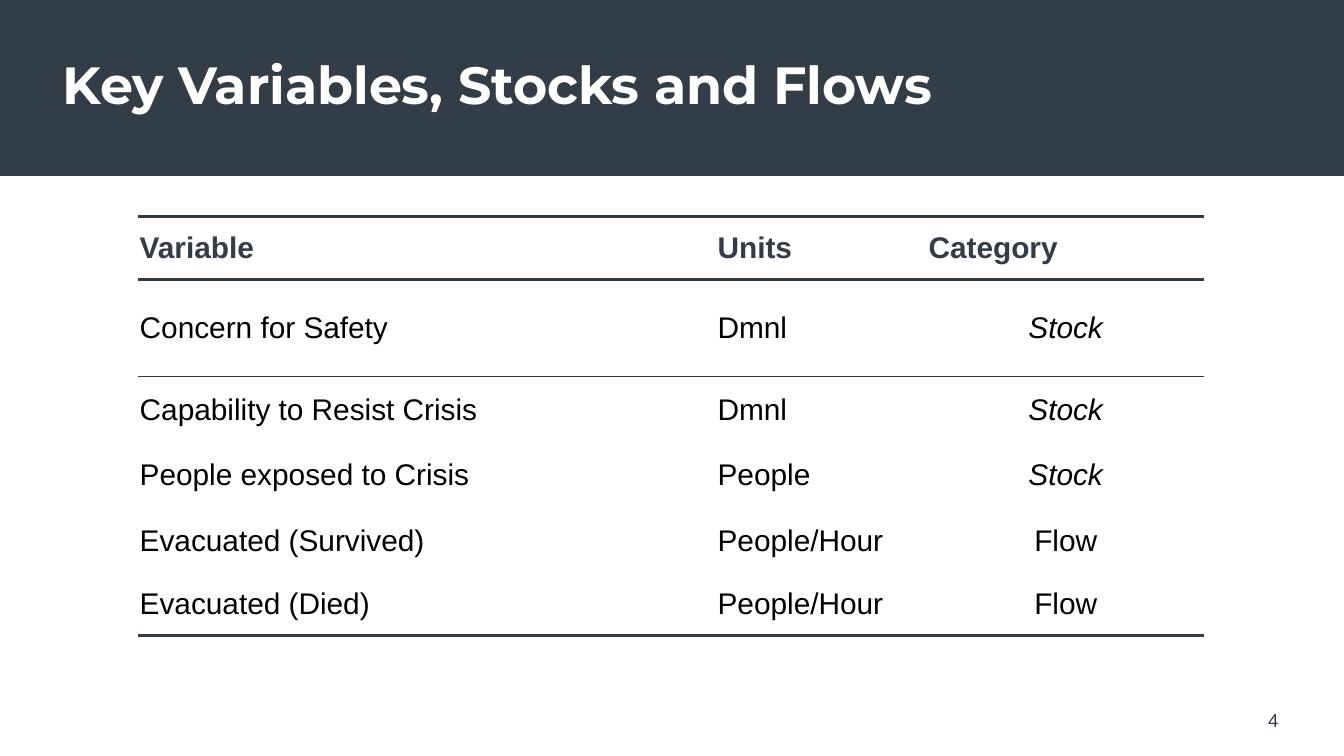
from dataclasses import dataclass

from lxml import etree
from pptx import Presentation
from pptx.dml.color import RGBColor
from pptx.enum.shapes import MSO_SHAPE
from pptx.enum.text import MSO_ANCHOR, PP_ALIGN
from pptx.oxml.ns import qn
from pptx.util import Inches, Pt

RECTANGLE = MSO_SHAPE.RECTANGLE
MIDDLE = MSO_ANCHOR.MIDDLE
LEFT, CENTER, RIGHT = PP_ALIGN.LEFT, PP_ALIGN.CENTER, PP_ALIGN.RIGHT

BAND = RGBColor(0x33, 0x3D, 0x47)
SLATE = RGBColor(0x33, 0x3C, 0x47)
WHITE = RGBColor(0xFF, 0xFF, 0xFF)
BLACK = RGBColor(0x00, 0x00, 0x00)

SLIDE_WIDTH = 10
SLIDE_HEIGHT = SLIDE_WIDTH * 9 / 16
TABLE_LEFT, TABLE_TOP = 1.03, 1.61
COLUMN_WIDTHS = [4.3, 1.57, 2.06]
ROW_HEIGHTS = [0.47, 0.72, 0.49, 0.49, 0.48, 0.47]

TITLE_FORMAT = {"name": "Montserrat", "size": Pt(28), "bold": True}
NUMBER_FORMAT = {"name": "Arial", "size": Pt(10), "bold": False}
CELL_FORMAT = {"name": "Arial", "size": Pt(16)}


@dataclass
class Variable:
    name: str
    units: str
    category: str


@dataclass
class Label:
    text: str
    left: float
    top: float
    width: float
    height: float
    align: PP_ALIGN
    color: RGBColor
    format: dict
    line_spacing: float = 1.0


HEADER = Variable("Variable", "Units", "Category")
VARIABLES = [
    Variable("Concern for Safety", "Dmnl", "Stock"),
    Variable("Capability to Resist Crisis", "Dmnl", "Stock"),
    Variable("People exposed to Crisis", "People", "Stock"),
    Variable("Evacuated (Survived)", "People/Hour", "Flow"),
    Variable("Evacuated (Died)", "People/Hour", "Flow"),
]
# Rule widths in points, by row and by cell edge; other edges stay empty
EDGES = ("lnL", "lnR", "lnT", "lnB")
RULES = {
    0: {"lnT": 2.25, "lnB": 1.25},
    1: {"lnT": 1.25, "lnB": 0.5},
    2: {"lnT": 0.5},
    len(VARIABLES): {"lnB": 2},
}
LABELS = [
    Label("Key Variables, Stocks and Flows", 0.37, 0, 9.26, 1.3,
          LEFT, WHITE, TITLE_FORMAT, 0.9),
    Label("4", 7.06, 5.21, 2.55, 0.3, RIGHT, SLATE, NUMBER_FORMAT),
]


def write(para, text: str, align: PP_ALIGN, color: RGBColor, values: dict) -> None:
    para.alignment = align
    span = para.add_run()
    span.text = text
    span.font.color.rgb = color
    for attribute, value in values.items():
        setattr(span.font, attribute, value)


def add_label(page, label: Label) -> None:
    box = page.shapes.add_textbox(Inches(label.left), Inches(label.top),
                                  Inches(label.width), Inches(label.height))
    frame = box.text_frame
    frame.word_wrap = True
    frame.vertical_anchor = MIDDLE
    para = frame.paragraphs[0]
    para.line_spacing = label.line_spacing
    write(para, label.text, label.align, label.color, label.format)


def add_rules(cell, rules: dict) -> None:
    properties = cell._tc.get_or_add_tcPr()
    for position, edge in enumerate(EDGES):
        line = etree.Element(qn(f"a:{edge}"))
        if edge in rules:
            line.set("w", str(int(Pt(rules[edge]))))
            fill = etree.SubElement(line, qn("a:solidFill"))
            etree.SubElement(fill, qn("a:srgbClr"), val=str(SLATE))
        else:
            etree.SubElement(line, qn("a:noFill"))
        properties.insert(position, line)


def fill_cell(cell, text: str, row: int, is_category: bool) -> None:
    is_header = row == 0
    cell.fill.solid()
    cell.fill.fore_color.rgb = WHITE
    cell.vertical_anchor = MIDDLE
    cell.margin_left = cell.margin_right = cell.margin_top = Inches(0.01)
    cell.margin_bottom = 0
    align = CENTER if is_category and not is_header else LEFT
    color = SLATE if is_header else BLACK
    values = CELL_FORMAT | {"bold": is_header, "italic": text == "Stock"}
    write(cell.text_frame.paragraphs[0], text, align, color, values)
    add_rules(cell, RULES.get(row, {}))


def add_variable_table(page, variables: list[Variable]) -> None:
    table = page.shapes.add_table(
        len(ROW_HEIGHTS), len(COLUMN_WIDTHS), Inches(TABLE_LEFT), Inches(TABLE_TOP),
        Inches(sum(COLUMN_WIDTHS)), Inches(sum(ROW_HEIGHTS))).table
    table.first_row = table.horz_banding = False
    for column, width in zip(table.columns, COLUMN_WIDTHS):
        column.width = Inches(width)
    for row, height in zip(table.rows, ROW_HEIGHTS):
        row.height = Inches(height)
    for row, variable in enumerate(variables):
        texts = (variable.name, variable.units, variable.category)
        for column, text in enumerate(texts):
            fill_cell(table.cell(row, column), text, row, column == 2)


def main() -> None:
    deck = Presentation()
    deck.slide_width, deck.slide_height = Inches(SLIDE_WIDTH), Inches(SLIDE_HEIGHT)
    page = deck.slides.add_slide(deck.slide_layouts[6])

    # Title band
    band = page.shapes.add_shape(RECTANGLE, 0, 0, deck.slide_width, Inches(1.31))
    band.shadow.inherit = False
    band.fill.solid()
    band.fill.fore_color.rgb = BAND
    band.line.fill.background()

    # Title and page number
    for label in LABELS:
        add_label(page, label)

    # Variables with their units and category
    add_variable_table(page, [HEADER, *VARIABLES])
    deck.save("out.pptx")


if __name__ == "__main__":
    main()
